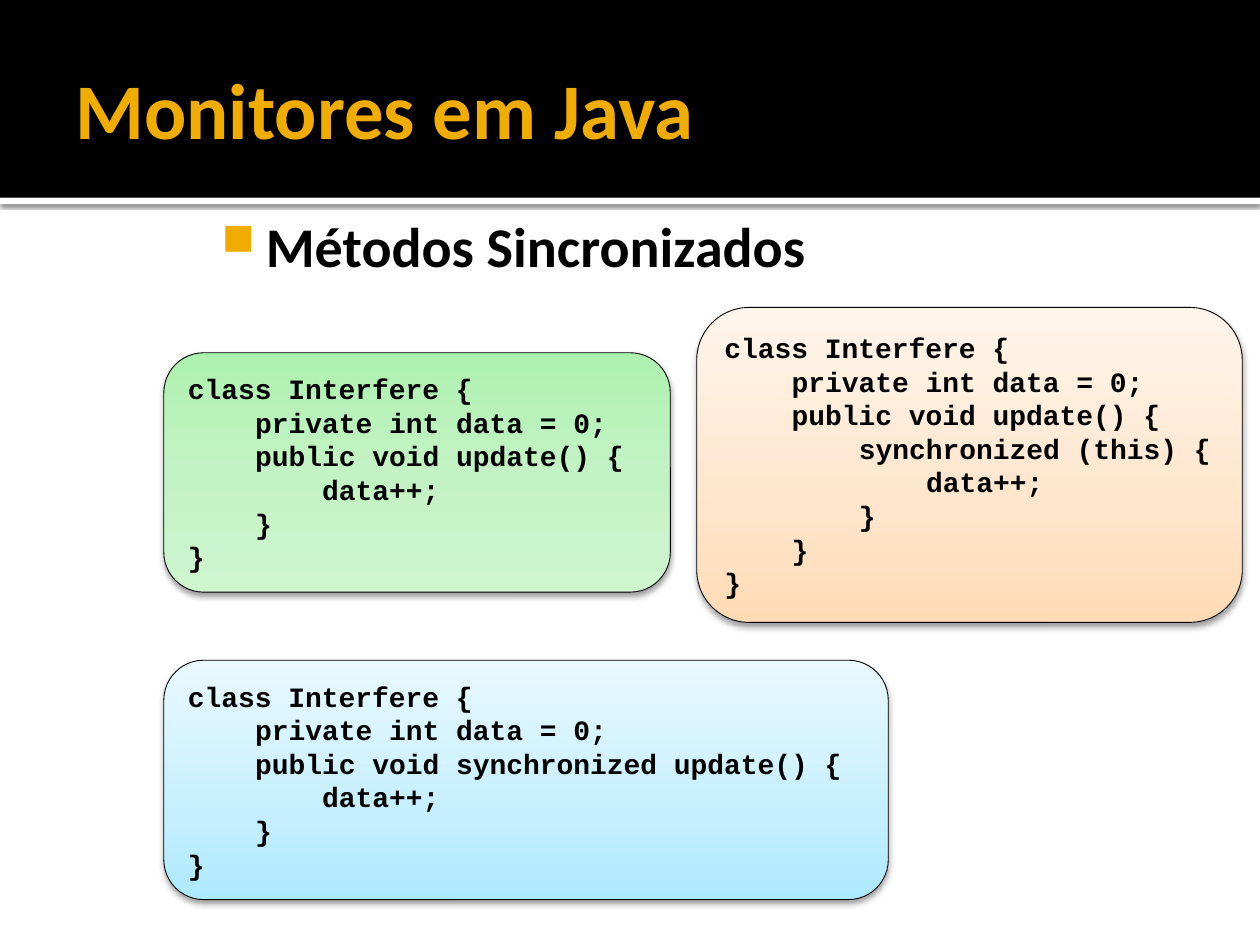
from dataclasses import dataclass

from lxml.etree import SubElement
from pptx import Presentation
from pptx.dml.color import RGBColor
from pptx.enum.shapes import MSO_SHAPE
from pptx.enum.text import MSO_ANCHOR, PP_ALIGN
from pptx.oxml.ns import qn
from pptx.util import Pt

BLACK = RGBColor(0x00, 0x00, 0x00)
WHITE = RGBColor(0xFF, 0xFF, 0xFF)
GOLD = RGBColor(0xF0, 0xAD, 0x00)
GREEN = (
    (0, RGBColor(0xCF, 0xF5, 0xCF)),
    (50, RGBColor(0xC3, 0xF3, 0xC4)),
    (97, RGBColor(0xAF, 0xF1, 0xB0)),
    (100, RGBColor(0xA7, 0xF2, 0xA9)),
)
BLUE = (
    (0, RGBColor(0xAD, 0xE9, 0xFF)),
    (35, RGBColor(0xC5, 0xEF, 0xFF)),
    (100, RGBColor(0xE9, 0xF9, 0xFF)),
)
PEACH = (
    (0, RGBColor(0xFF, 0xDB, 0xB5)),
    (35, RGBColor(0xFF, 0xE5, 0xCB)),
    (100, RGBColor(0xFF, 0xF5, 0xEB)),
)
WIDTH, HEIGHT = 720, 540
CODE_SIZE = 16
TAB = 4 * 0.6 * CODE_SIZE


@dataclass
class Box:
    left: float
    top: float
    width: float
    height: float

    def place(self) -> tuple:
        return Pt(self.left), Pt(self.top), Pt(self.width), Pt(self.height)


@dataclass
class Card:
    box: Box
    stops: tuple
    lines: tuple


def add_color(parent, color: RGBColor):
    return SubElement(parent, qn("a:srgbClr"), val=str(color))


def set_font(para, name: str, size: float, color: RGBColor) -> None:
    para.alignment = PP_ALIGN.LEFT
    font = para.font
    font.name, font.size, font.bold = name, Pt(size), True
    font.color.rgb = color


def set_frame(frame, anchor, left: float, top: float, right: float, bottom: float) -> None:
    frame.word_wrap = True
    frame.vertical_anchor = anchor
    frame.margin_left, frame.margin_top = Pt(left), Pt(top)
    frame.margin_right, frame.margin_bottom = Pt(right), Pt(bottom)


def set_indent(para, left: float, first: float = 0) -> None:
    props = para._p.get_or_add_pPr()
    props.set("marL", str(Pt(left)))
    props.set("indent", str(Pt(first)))


def add_shade(shape, alpha: int, blur: float, dist: float) -> None:
    shape.shadow.inherit = False
    effects = shape._element.spPr.find(qn("a:effectLst"))
    shade = SubElement(effects, qn("a:outerShdw"), blurRad=str(Pt(blur)),
                       dist=str(Pt(dist)), dir="5400000", rotWithShape="0")
    SubElement(add_color(shade, BLACK), qn("a:alpha"), val=str(alpha * 1000))


def add_band(slide, box: Box, color: RGBColor):
    band = slide.shapes.add_shape(MSO_SHAPE.RECTANGLE, *box.place())
    band.shadow.inherit = False
    band.fill.solid()
    band.fill.fore_color.rgb = color
    band.line.fill.background()
    return band


def set_title(slide, text: str, box: Box) -> None:
    title = slide.shapes.title
    slide.shapes._spTree.append(title._element)
    title.left, title.top, title.width, title.height = box.place()
    title.text = text
    set_frame(title.text_frame, MSO_ANCHOR.MIDDLE, 7.2, 3.6, 3.6, 3.6)
    set_font(title.text_frame.paragraphs[0], "Calibri", 45, GOLD)


def add_topic(slide, text: str, box: Box) -> None:
    frame = slide.shapes.add_textbox(*box.place()).text_frame
    set_frame(frame, MSO_ANCHOR.TOP, 4.32, 7.2, 7.2, 3.6)
    para = frame.paragraphs[0]
    para.text = text
    set_font(para, "Calibri", 32, BLACK)
    set_indent(para, 34.56, -25.2)
    props = para._p.get_or_add_pPr()
    marks = [SubElement(props, qn(tag)) for tag in ("a:buClr", "a:buSzPct", "a:buChar")]
    add_color(marks[0], GOLD)
    marks[1].set("val", "80000")
    marks[2].set("char", "■")


def set_blend(shape, stops: tuple) -> None:
    shape.fill.gradient()
    shape.fill.gradient_angle = 90
    stop_list = shape._element.spPr.find(qn("a:gradFill")).find(qn("a:gsLst"))
    for old in list(stop_list):
        stop_list.remove(old)
    for spot, color in stops:
        add_color(SubElement(stop_list, qn("a:gs"), pos=str(spot * 1000)), color)


def add_card(slide, card: Card) -> None:
    shape = slide.shapes.add_shape(MSO_SHAPE.ROUNDED_RECTANGLE, *card.box.place())
    set_blend(shape, card.stops)
    shape.line.color.rgb = BLACK
    shape.line.width = Pt(0.5)
    add_shade(shape, 38, 3.5, 2)
    frame = shape.text_frame
    set_frame(frame, MSO_ANCHOR.MIDDLE, 7.2, 3.6, 7.2, 3.6)
    for row, (depth, text) in enumerate(card.lines):
        para = frame.add_paragraph() if row else frame.paragraphs[0]
        para.text = text
        set_font(para, "Courier New", CODE_SIZE, BLACK)
        set_indent(para, depth * TAB)


def wrap_code(method: str, *body: tuple) -> tuple:
    return (
        (0, "class Interfere {"),
        (1, "private int data = 0;"),
        (1, method),
        *body,
        (1, "}"),
        (0, "}"),
    )


PLAIN = "public void update() {"
STEP = "data++;"
CARDS = (
    Card(Box(93.6, 201.6, 289.44, 136.8), GREEN, wrap_code(PLAIN, (2, STEP))),
    Card(Box(93.6, 377.28, 414, 136.8), BLUE,
         wrap_code("public void synchronized update() {", (2, STEP))),
    Card(Box(398.16, 175.68, 311.76, 180), PEACH,
         wrap_code(PLAIN, (2, "synchronized (this) {"), (3, STEP), (2, "}"))),
)


def main() -> None:
    deck = Presentation()
    deck.slide_width, deck.slide_height = Pt(WIDTH), Pt(HEIGHT)
    slide = deck.slides.add_slide(deck.slide_layouts[5])
    strip = add_band(slide, Box(0, 113.04, WIDTH, 3.6), WHITE)
    add_shade(strip, 60, 2.5, 0.8)
    add_band(slide, Box(0, 0, WIDTH, 113.04), BLACK)
    set_title(slide, "Monitores em Java", Box(36, 12.24, 648, 98.64))
    add_topic(slide, "Métodos Sincronizados", Box(113.04, 113.76, 590.4, 65.52))
    for card in CARDS:
        add_card(slide, card)
    deck.save("out.pptx")


if __name__ == "__main__":
    main()
